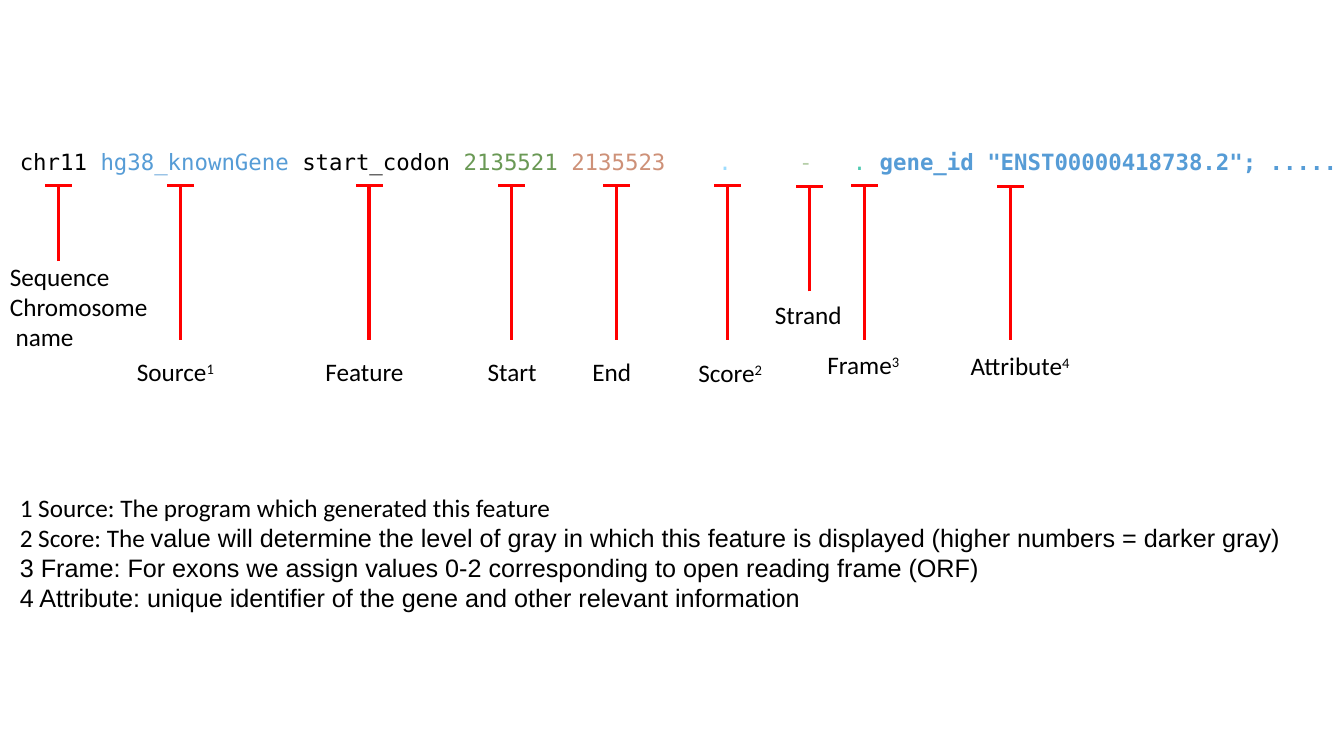
from lxml import etree
from pptx import Presentation
from pptx.dml.color import RGBColor
from pptx.enum.shapes import MSO_CONNECTOR
from pptx.enum.text import MSO_AUTO_SIZE
from pptx.oxml.ns import qn
from pptx.util import Cm, Pt

STRAIGHT = MSO_CONNECTOR.STRAIGHT
GROW = MSO_AUTO_SIZE.SHAPE_TO_FIT_TEXT
CALIBRI = {"name": "Calibri", "size": Pt(18)}
ARIAL = {"name": "Arial", "size": Pt(18)}
MONO = {"name": "DejaVu Sans Mono", "size": Pt(16)}
BLACK, RED, BLUE = "000000", "FF0000", "569CD6"
CHARACTER = 0.3386
CAP_HALF = 0.34


def add_text(place, paragraphs, wrap=False):
    box = page.shapes.add_textbox(*[Cm(length) for length in place])
    frame = box.text_frame
    frame.word_wrap = wrap
    frame.auto_size = GROW
    for index, pieces in enumerate(paragraphs):
        para = frame.add_paragraph() if index else frame.paragraphs[0]
        for text, look, color, raised in pieces:
            span = para.add_run()
            span.text = text
            for name, value in look.items():
                setattr(span.font, name, value)
            span.font.color.rgb = RGBColor.from_string(color)
            if raised:
                span._r.get_or_add_rPr().set("baseline", "30000")
    return frame


def add_line(group, *ends):
    line = group.shapes.add_connector(STRAIGHT, *[Cm(end) for end in ends])
    line.line.color.rgb = RGBColor.from_string(RED)
    line.line.width = Pt(2.25)
    etree.SubElement(line._element.spPr, qn("a:effectLst"))


deck = Presentation()
deck.slide_width, deck.slide_height = Cm(33.87), Cm(19.05)
page = deck.slides.add_slide(deck.slide_layouts[6])

record = [
    ("chr11 ", BLACK),
    ("hg38_knownGene ", BLUE),
    ("start_codon ", BLACK),
    ("2135521 ", "6A9955"),
    ("2135523\t", "CE9178"),
    (".\t", "9CDCFE"),
    ("-\t", "B5CEA8"),
    (". ", "4EC9B0"),
]
pieces = [(text, MONO, color, False) for text, color in record]
pieces.append(('gene_id "ENST00000418738.2"; .....', {**MONO, "bold": True}, BLUE, False))
record_frame = add_text((0.25, 3.61, 34.11, 0.94), [pieces], wrap=True)
record_frame.margin_right = 0
tabs = etree.SubElement(record_frame.paragraphs[0]._p.get_or_add_pPr(), qn("a:tabLst"))
for column in (52, 58, 62):
    etree.SubElement(tabs, qn("a:tab"), pos=str(int(Cm(column * CHARACTER))), algn="l")

fields = [
    (["Sequence", "Chromosome", " name"], "", 1.47, 4.67, 6.58, (0, 6.45, 4.01, 2.57)),
    (["Source"], "1", 4.55, 4.67, 8.56, (3.2, 8.86, 2.51, 1.02)),
    (["Feature"], "", 9.3, 4.67, 8.56, (7.95, 8.86, 2.51, 1.02)),
    (["Start"], "", 12.88, 4.67, 8.56, (12.04, 8.86, 1.75, 1.02)),
    (["End"], "", 15.54, 4.67, 8.56, (14.68, 8.86, 1.5, 1.02)),
    (["Score"], "2", 18.33, 4.67, 8.56, (17.35, 8.89, 2.16, 1.02)),
    (["Strand"], "", 20.4, 4.7, 7.34, (19.28, 7.42, 2.21, 1.02)),
    (["Frame"], "3", 21.78, 4.67, 8.56, (20.6, 8.69, 2.36, 1.02)),
    (["Attribute"], "4", 25.46, 4.7, 8.56, (24.21, 8.71, 3.18, 1.02)),
]
for lines, note, x, top, bottom, place in fields:
    marker = page.shapes.add_group_shape()
    add_line(marker, x, bottom, x, top)
    add_line(marker, x + CAP_HALF, top, x - CAP_HALF, top)
    paragraphs = [[(text, CALIBRI, BLACK, False)] for text in lines]
    if note:
        paragraphs[-1].append((note, CALIBRI, BLACK, True))
    add_text(place, paragraphs)

notes = [
    [("1 Source: The program which generated this feature", CALIBRI)],
    [
        ("2 Score: The ", CALIBRI),
        ("value will determine the level of gray in which this feature is displayed "
         "(higher numbers = darker gray)", ARIAL),
    ],
    [("3 Frame: For exons we assign values 0-2 corresponding to open reading frame (ORF)", ARIAL)],
    [("4 Attribute: unique identifier of the gene and other relevant information", ARIAL)],
]
add_text(
    (0.25, 12.27, 32.64, 3.33),
    [[(text, look, BLACK, False) for text, look in note] for note in notes],
)

deck.save("out.pptx")
